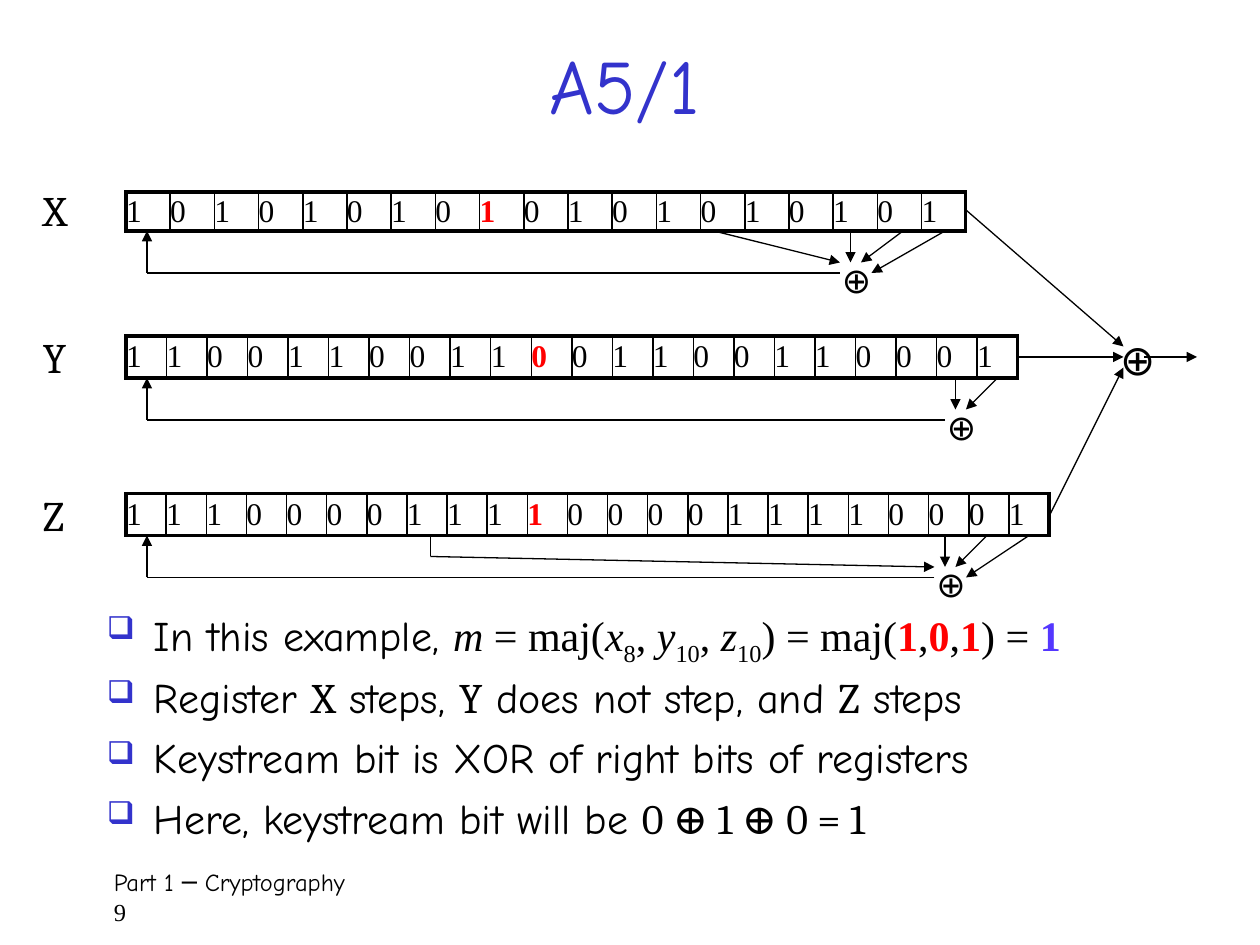
from dataclasses import dataclass
from typing import NamedTuple

import pptx
import pptx.dml.color
import pptx.enum.shapes
import pptx.enum.text
import pptx.oxml
import pptx.oxml.ns
import pptx.util
from lxml import etree

Cm = pptx.util.Cm
Pt = pptx.util.Pt
qn = pptx.oxml.ns.qn


@dataclass(frozen=True)
class Theme:
    ink: str = "000000"
    accent: str = "3333CC"
    clock: str = "FF0000"
    majority: str = "5437FF"
    hand: str = "Comic Neue"
    math: str = "Times New Roman"
    serif: str = "Cambria"
    title_size: int = 44
    body_size: int = 24
    xor_size: int = 20
    bit_size: int = 18
    footer_size: int = 14
    frame_line: float = 2.25
    cell_line: float = 1
    wire_line: float = 0.75


THEME = Theme()


class Span(NamedTuple):
    text: str
    font: str = THEME.hand
    color: str = THEME.ink
    bold: bool = False
    italic: bool = False
    subscript: bool = False


class Tap(NamedTuple):
    """A wire from a bit to the XOR; drops are measured from the register's bottom."""
    start: int
    end: int
    end_drop: int = 3
    start_drop: int = 0


@dataclass(frozen=True)
class Register:
    name: str
    bits: str
    clock_bit: int
    width: int
    height: float
    bottom: int
    xor_left: int
    output_y: int
    taps: tuple[Tap, ...]


# Positions on the diagram are in twelfths of an inch.
LEFT = 12
MIXER_X = 107
REGISTERS = (
    Register("X", "1010101010101010101", 8, 80, 3.7, 22, 79, 33,
             (Tap(81, 81), Tap(86, 82), Tap(90, 83, 4), Tap(68, 80))),
    Register("Y", "1100110011001100110001", 10, 85, 4, 36, 89, 34,
             (Tap(91, 91), Tap(95, 92))),
    Register("Z", "11100001111000011110001", 10, 88, 4, 51, 88, 35,
             (Tap(90, 90), Tap(94, 91), Tap(98, 92, 4), Tap(41, 89, 3, 2))),
)


def math(text: str, **style) -> Span:
    return Span(text, THEME.math, **style)


def variable(letter: str, index: str) -> list[Span]:
    return [math(letter, italic=True), math(index, subscript=True)]


def clock(bit: str) -> Span:
    return math(bit, color=THEME.clock, bold=True)


POINTS = (
    [Span("In this example, "), math("m", italic=True), math(" = maj("),
     *variable("x", "8"), math(", "), *variable("y", "10"), math(", "),
     *variable("z", "10"), math(") = maj("), clock("1"), math(","), clock("0"),
     math(","), clock("1"), math(") = "),
     math("1", color=THEME.majority, bold=True)],
    [Span("Register "), Span("X", THEME.serif), Span(" steps, "),
     Span("Y", THEME.serif), Span(" does not step, and "),
     Span("Z", THEME.serif), Span(" steps")],
    [Span("Keystream bit is XOR of right bits of registers")],
    [Span("Here, keystream bit will be "), Span("0 ⊕ 1 ⊕ 0 = 1", THEME.serif)],
)


def grid(twelfths: float) -> pptx.util.Length:
    return Cm(2.54 * twelfths / 12)


def write(paragraph, spans: list[Span], size: float) -> None:
    for span in spans:
        run = paragraph.add_run()
        run.text = span.text
        font = run.font
        font.name, font.size = span.font, Pt(size)
        font.bold, font.italic = span.bold, span.italic
        font.color.rgb = pptx.dml.color.RGBColor.from_string(span.color)
        if span.subscript:
            font._element.set("baseline", "-25000")


def add_text(slide, box: tuple, lines: list[list[Span]], size: float, wrap: bool = True):
    """Add a text box, box being left, top, width and height on the grid."""
    frame = slide.shapes.add_textbox(*map(grid, box)).text_frame
    frame.word_wrap = wrap
    if not wrap:
        frame.auto_size = pptx.enum.text.MSO_AUTO_SIZE.SHAPE_TO_FIT_TEXT
    for number, spans in enumerate(lines):
        paragraph = frame.add_paragraph() if number else frame.paragraphs[0]
        write(paragraph, spans, size)
    return frame


def add_wire(slide, start: tuple, end: tuple, arrow: bool = True) -> None:
    wire = slide.shapes.add_connector(
        pptx.enum.shapes.MSO_CONNECTOR.STRAIGHT, *map(grid, start + end))
    wire.line.width = Pt(THEME.wire_line)
    wire.line.color.rgb = pptx.dml.color.RGBColor.from_string(THEME.ink)
    if arrow:
        etree.SubElement(wire.line._get_or_add_ln(), qn("a:tailEnd"), type="triangle")
    etree.SubElement(wire._element.spPr, qn("a:effectLst"))


def add_border(cell, side: str, width: float) -> None:
    line = etree.SubElement(cell._tc.get_or_add_tcPr(), qn(f"a:ln{side}"), w=str(Pt(width)))
    fill = etree.SubElement(line, qn("a:solidFill"))
    etree.SubElement(fill, qn("a:srgbClr"), val=THEME.ink)


def add_bits(slide, register: Register) -> None:
    count = len(register.bits)
    table = slide.shapes.add_table(
        1, count, grid(LEFT), grid(register.bottom - register.height),
        grid(register.width), grid(register.height)).table
    table.first_row = table.horz_banding = False
    for index, bit in enumerate(register.bits):
        table.columns[index].width = grid(register.width / count)
        cell = table.cell(0, index)
        cell.margin_left = cell.margin_right = cell.margin_top = cell.margin_bottom = 0
        cell.vertical_anchor = pptx.enum.text.MSO_ANCHOR.MIDDLE
        span = clock(bit) if index == register.clock_bit else math(bit)
        write(cell.text_frame.paragraphs[0], [span], THEME.bit_size)
        outer = {"L": index == 0, "R": index == count - 1, "T": True, "B": True}
        for side, is_outer in outer.items():
            add_border(cell, side, THEME.frame_line if is_outer else THEME.cell_line)
        cell.fill.background()


def add_register(slide, register: Register) -> None:
    bottom = register.bottom
    add_text(slide, (2.9, bottom - 5, 5, 6), [[Span(register.name, THEME.serif)]],
             THEME.body_size, wrap=False)
    add_bits(slide, register)
    add_text(slide, (register.xor_left, bottom + 2, 4.9, 5.2), [[Span("⊕")]],
             THEME.xor_size, wrap=False)
    for tap in register.taps:
        if tap.start_drop:
            add_wire(slide, (tap.start, bottom), (tap.start, bottom + tap.start_drop), False)
        add_wire(slide, (tap.start, bottom + tap.start_drop), (tap.end, bottom + tap.end_drop))
    corner = (LEFT + 2, bottom + 4)
    add_wire(slide, (register.xor_left + 1, bottom + 4), corner, False)
    add_wire(slide, corner, (LEFT + 2, bottom))
    add_wire(slide, (LEFT + register.width, bottom - 2), (MIXER_X, register.output_y))


def add_points(slide) -> None:
    frame = add_text(slide, (9, 58, 102, 23), POINTS, THEME.body_size)
    for paragraph in frame.paragraphs:
        paragraph.line_spacing = 0.8
        paragraph.space_before, paragraph.space_after = Pt(5.5), Pt(6)
        properties = paragraph._p.get_or_add_pPr()
        properties.set("marL", str(Cm(0.95)))
        properties.set("indent", str(Cm(-0.95)))
        color = etree.SubElement(properties, qn("a:buClr"))
        etree.SubElement(color, qn("a:srgbClr"), val=THEME.accent)
        etree.SubElement(properties, qn("a:buSzPct"), val="75000")
        etree.SubElement(properties, qn("a:buChar"), char="❑")


def main() -> None:
    deck = pptx.Presentation()
    deck.slide_width, deck.slide_height = Cm(25.4), Cm(19.05)
    slide = deck.slides.add_slide(deck.slide_layouts[6])

    title = add_text(slide, (9, 4, 101, 8), [[Span("A5/1", color=THEME.accent)]],
                     THEME.title_size)
    title.vertical_anchor = pptx.enum.text.MSO_ANCHOR.MIDDLE
    title.paragraphs[0].alignment = pptx.enum.text.PP_ALIGN.CENTER

    for register in REGISTERS:
        add_register(slide, register)
    add_text(slide, (105.5, 31.2, 5.5, 6), [[Span("⊕")]], THEME.body_size, wrap=False)
    add_wire(slide, (MIXER_X + 2, 34), (114, 34))

    add_points(slide)
    footer = add_text(slide, (9, 82, 103, 6), [[Span("Part 1 ─ Cryptography")], [math("9")]],
                      THEME.footer_size)
    footer.margin_left = Cm(0.39)
    deck.save("out.pptx")


if __name__ == "__main__":
    main()
